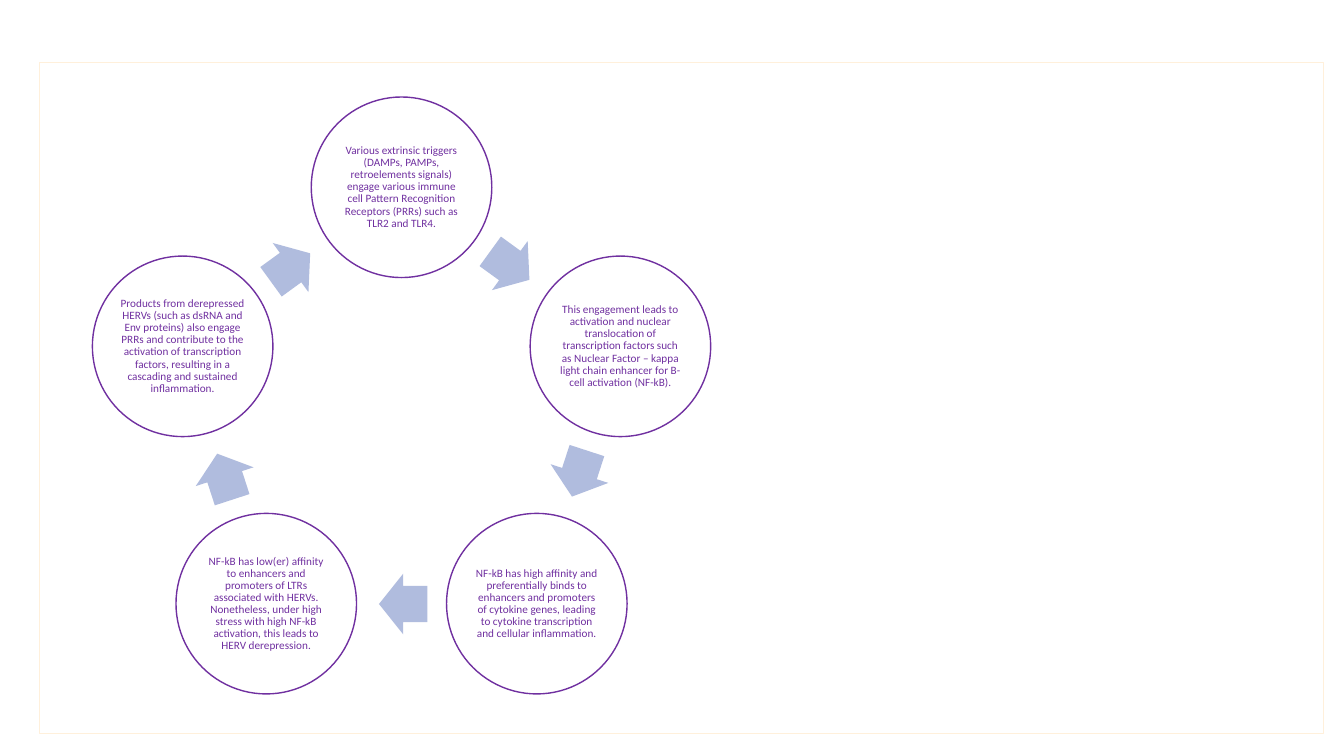
from math import cos, radians, sin

from pptx import Presentation
from pptx.dml.color import RGBColor
from pptx.enum import shapes, text
from pptx.util import Cm, Pt

PURPLE, PERIWINKLE, CREAM = "7030A0", "B0BCDE", "FFF0DB"

# Cycle geometry in cm; angles run clockwise from the top
CENTRE_X, CENTRE_Y = 10.12, 10.52
STEP_RADIUS, STEP_SIZE = 5.8, 4.55
ARROW_RADIUS, ARROW_LENGTH, ARROW_WIDTH = 4.7, 1.22, 1.53
ARROW_LAG = 0.5  # degrees by which arrows sit nearer the preceding step

STEPS = [
    "Various extrinsic triggers (DAMPs, PAMPs, retroelements signals) engage "
    "various immune cell Pattern Recognition Receptors (PRRs) such as TLR2 and TLR4.",
    "This engagement leads to activation and nuclear translocation of "
    "transcription factors such as Nuclear Factor – kappa light chain enhancer "
    "for B-cell activation (NF-kB).",
    "NF-kB has high affinity and preferentially binds to enhancers and promoters "
    "of cytokine genes, leading to cytokine transcription and cellular inflammation.",
    "NF-kB has low(er) affinity to enhancers and promoters of LTRs associated "
    "with HERVs. Nonetheless, under high stress with high NF-kB activation, "
    "this leads to HERV derepression.",
    "Products from derepressed HERVs (such as dsRNA and Env proteins) also engage "
    "PRRs and contribute to the activation of transcription factors, resulting in "
    "a cascading and sustained inflammation.",
]


def colour(hex_code):
    return RGBColor.from_string(hex_code)


def add_shape(slide, kind, left, top, width, height, fill=None, line=None):
    shape = slide.shapes.add_shape(kind, Cm(left), Cm(top), Cm(width), Cm(height))
    shape.shadow.inherit = False
    if fill:
        shape.fill.solid()
        shape.fill.fore_color.rgb = colour(fill)
    else:
        shape.fill.background()
    if line:
        shape.line.color.rgb = colour(line)
        shape.line.width = Pt(1)
    else:
        shape.line.fill.background()
    return shape


def add_on_ring(slide, kind, angle, radius, width, height, **paint):
    """Add a shape centred on a ring around the middle of the cycle."""
    x = CENTRE_X + radius * sin(radians(angle))
    y = CENTRE_Y - radius * cos(radians(angle))
    return add_shape(slide, kind, x - width / 2, y - height / 2, width, height, **paint)


def add_step(slide, angle, wording):
    step = add_on_ring(slide, shapes.MSO_SHAPE.OVAL, angle, STEP_RADIUS,
                       STEP_SIZE, STEP_SIZE, line=PURPLE)
    frame = step.text_frame
    frame.word_wrap = True
    frame.vertical_anchor = text.MSO_ANCHOR.MIDDLE
    frame.margin_left = frame.margin_right = Cm(0.03)
    frame.margin_top = frame.margin_bottom = Cm(0.03)
    frame.text = wording
    paragraph = frame.paragraphs[0]
    paragraph.alignment = text.PP_ALIGN.CENTER
    paragraph.line_spacing = 0.9
    font = paragraph.runs[0].font
    font.name, font.size = "Calibri", Pt(8)
    font.color.rgb = colour(PURPLE)


def add_arrow(slide, angle):
    arrow = add_on_ring(slide, shapes.MSO_SHAPE.RIGHT_ARROW, angle - ARROW_LAG,
                        ARROW_RADIUS, ARROW_LENGTH, ARROW_WIDTH, fill=PERIWINKLE)
    arrow.adjustments[0], arrow.adjustments[1] = 0.6, 0.5
    arrow.rotation = angle


def main():
    prs = Presentation()
    prs.slide_width, prs.slide_height = Cm(33.87), Cm(19.05)
    slide = prs.slides.add_slide(prs.slide_layouts[6])

    # Cycle: each step is followed by an arrow halfway to the next one
    turn = 360 / len(STEPS)
    for index, wording in enumerate(STEPS):
        add_step(slide, index * turn, wording)
        add_arrow(slide, (index + 0.5) * turn)

    # Border around the content area
    add_shape(slide, shapes.MSO_SHAPE.RECTANGLE, 0.99, 1.57, 32.36, 16.92, line=CREAM)

    prs.save("out.pptx")


if __name__ == "__main__":
    main()
